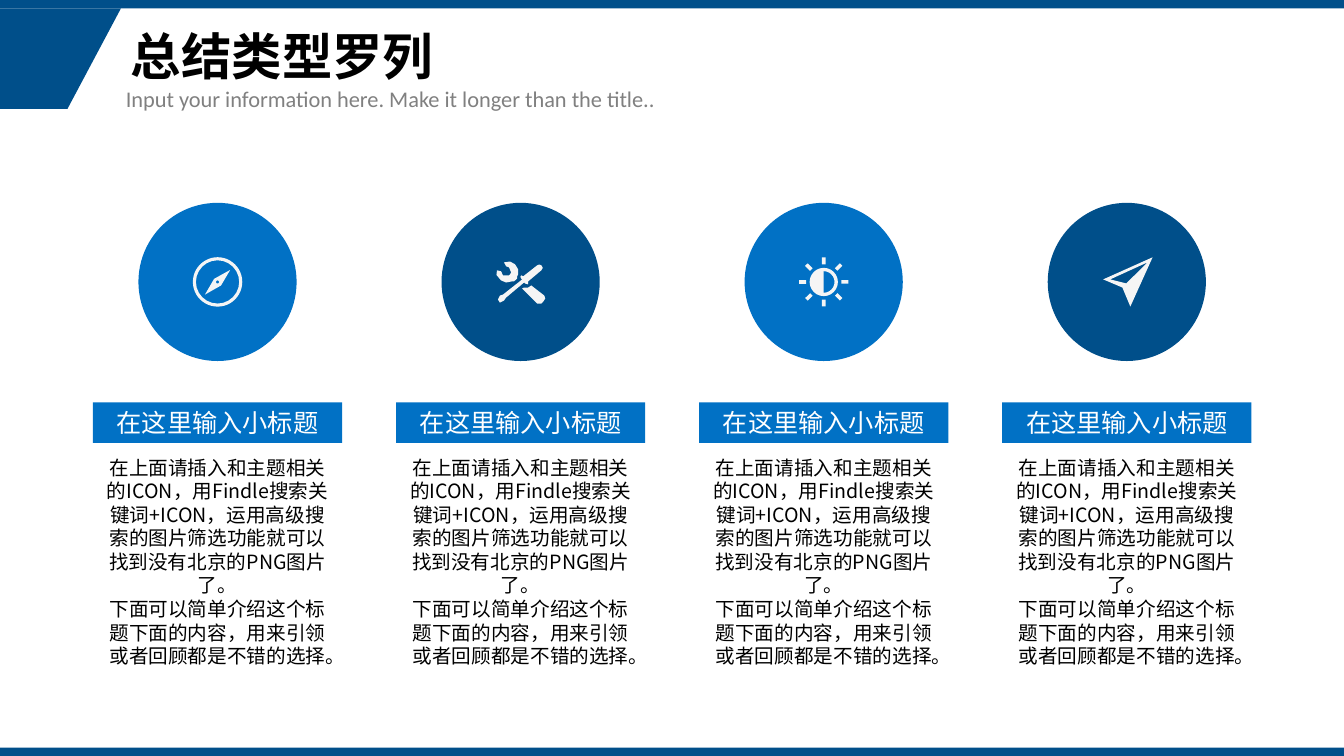
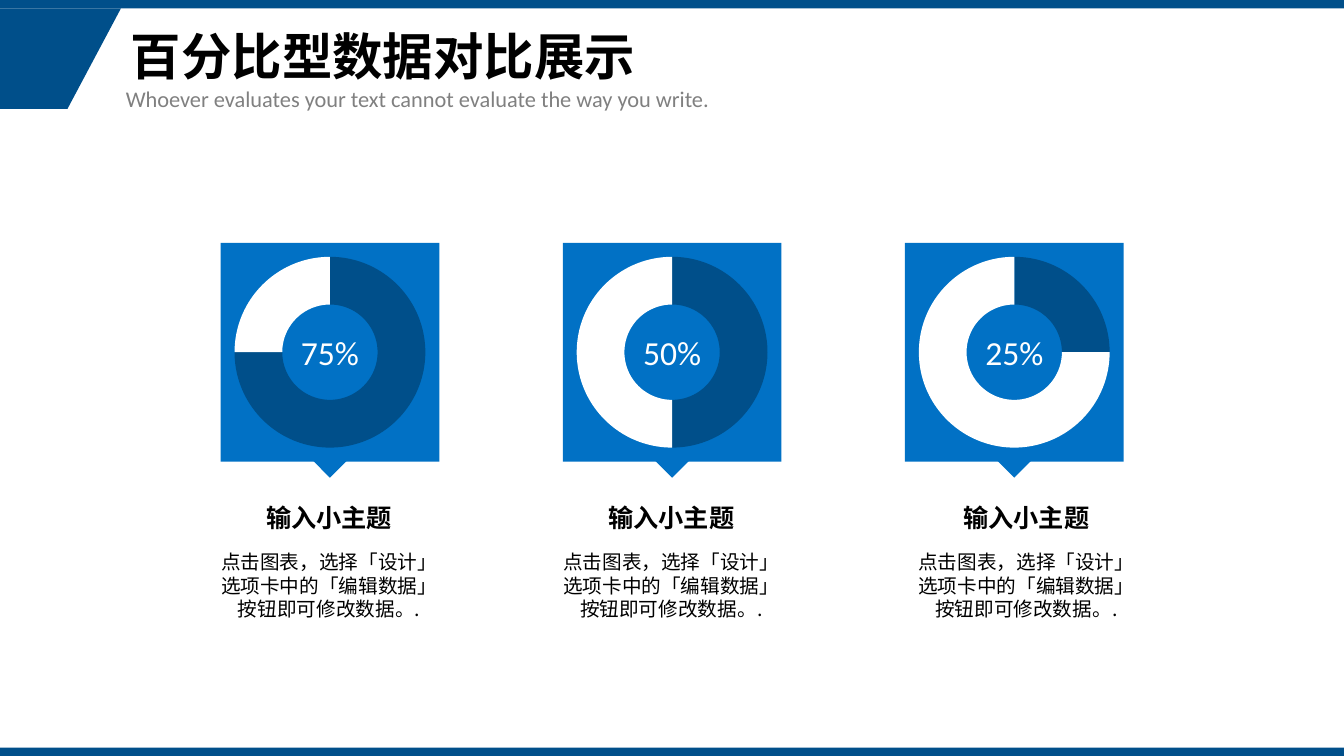
import math
from lxml import etree
from pptx import Presentation
from pptx.chart.data import CategoryChartData
from pptx.dml.color import RGBColor
from pptx.enum.chart import XL_CHART_TYPE
from pptx.enum.shapes import MSO_SHAPE
from pptx.enum.text import MSO_ANCHOR, PP_ALIGN
from pptx.oxml import parse_xml
from pptx.oxml.ns import nsdecls, qn
from pptx.util import Pt

RECTANGLE, OVAL, DONUT = MSO_SHAPE.RECTANGLE, MSO_SHAPE.OVAL, MSO_SHAPE.DONUT
RIGHT_TRIANGLE = MSO_SHAPE.RIGHT_TRIANGLE
LEFT, CENTER = PP_ALIGN.LEFT, PP_ALIGN.CENTER
TOP, MIDDLE = MSO_ANCHOR.TOP, MSO_ANCHOR.MIDDLE
DOUGHNUT = XL_CHART_TYPE.DOUGHNUT

NAVY = RGBColor(0x00, 0x4F, 0x8A)
BLUE = RGBColor(0x01, 0x71, 0xC5)
ICON = RGBColor(0xF5, 0xF5, 0xF5)
GRAY = RGBColor(0x80, 0x80, 0x80)
WHITE = RGBColor(0xFF, 0xFF, 0xFF)
BLACK = RGBColor(0x00, 0x00, 0x00)
HAN, LATIN = "Noto Sans CJK SC", "Calibri"

SLIDE_W, SLIDE_H, BAND_H = 960, 540, 6
CORNER = [(0, 6), (86.4, 6), (48.2, 77.8), (0, 77.8)]
COLUMN_W = 178

SUMMARY_TITLE = "总结类型罗列"
SUMMARY_SUBTITLE = "Input your information here. Make it longer than the title.."
SUMMARY_HEADING = "在这里输入小标题"
SUMMARY_BODY = (
    "在上面请插入和主题相关的ICON，用Findle搜索关键词+ICON，"
    "运用高级搜索的图片筛选功能就可以找到没有北京的PNG图片了。\n"
    "下面可以简单介绍这个标题下面的内容，用来引领或者回顾都是不错的选择。"
)
SUMMARY_FIRST, SUMMARY_PITCH = 155.4, 216.5
CIRCLE_Y, CIRCLE_D = 201.4, 113

PERCENT_TITLE = "百分比型数据对比展示"
PERCENT_SUBTITLE = "Whoever evaluates your text cannot evaluate the way you write."
PERCENT_HEADING = "输入小主题"
PERCENT_BODY = "点击图表，选择「设计」选项卡中的「编辑数据」按钮即可修改数据。."
SHARES_AND_CAPTION_SHIFTS = [(75, -0.6), (50, -0.6), (25, 8.6)]
PERCENT_FIRST, PERCENT_PITCH = 235.7, 244.4
CHART_TOP, CHART_SIZE = 173.5, 156.2

WRENCH_HEAD = [
    (-14, -1.1), (-10.4, 0.4), (-6.1, -0.4), (-4.7, -0.4), (-2.5, -2.5),
    (-2.5, -4), (-1.8, -5.4), (-1.8, -9), (-4, -12.6), (-7.6, -14.6),
    (-11.9, -14), (-10.4, -11.2), (-8.3, -10.4), (-6.8, -6.8), (-7.6, -5.4),
    (-8.3, -4.7), (-12.6, -4.7), (-14, -7.6), (-16.9, -8.3), (-17.3, -5),
]
WRENCH_HANDLE = [
    (16.9, 9.7), (7.6, 2.5), (5.4, 4), (2.5, 4), (1.1, 4.7),
    (11.9, 15.5), (14.8, 15.5), (16.2, 14), (17.6, 11.9),
]
SCREWDRIVER = [
    (3.2, 1.1), (5.4, 1.8), (5.4, -0.4), (14.8, -8.3), (15.8, -10),
    (14.8, -11.9), (13.3, -12.4), (11.9, -11.9), (1.8, -4), (0.4, -4.7),
    (-0.2, -3.6), (0.4, -2.5), (1.1, -1.8), (-12.6, 9), (-14.8, 9.7),
    (-16.2, 12.6), (-14.8, 14.8), (-11.9, 13.3), (-10.4, 11.2), (2.5, 0.4),
]
PLANE = [(-16.9, -1.8), (-3.2, 4), (2.5, 17.6), (18.4, -17.6)]
PLANE_FOLD = [(-0.4, 1.1), (-11.9, -1.8), (14.8, -14)]
NEEDLE = [(-9, 9), (2.5, 2.5), (9, -8.6), (-2.5, -2.2)]


def paint(shape, color):
    shape.shadow.inherit = False
    shape.fill.solid()
    shape.fill.fore_color.rgb = color
    shape.line.fill.background()
    return shape


def add_preset(slide, kind, left, top, width, height, color):
    return paint(slide.shapes.add_shape(kind, Pt(left), Pt(top), Pt(width), Pt(height)), color)


def add_centered(slide, kind, x, y, width, height, color):
    return add_preset(slide, kind, x - width / 2, y - height / 2, width, height, color)


def add_outline(slide, contours, color, x=0, y=0):
    placed = [[(Pt(x + dx), Pt(y + dy)) for dx, dy in contour] for contour in contours]
    builder = slide.shapes.build_freeform(*placed[0][0], scale=1.0)
    builder.add_line_segments(placed[0][1:], close=True)
    for contour in placed[1:]:
        builder.move_to(*contour[0])
        builder.add_line_segments(contour[1:], close=True)
    return paint(builder.convert_to_shape(), color)


def write(shape, text, size, color, font=HAN, bold=False, align=CENTER, anchor=TOP, wrap=True):
    frame = shape.text_frame
    frame.text = text
    frame.word_wrap = wrap
    frame.vertical_anchor = anchor
    for paragraph in frame.paragraphs:
        paragraph.alignment = align
        for run in paragraph.runs:
            run.font.name = font
            run.font.size = Pt(size)
            run.font.bold = bold
            run.font.color.rgb = color
            latin = run._r.get_or_add_rPr().find(qn("a:latin"))
            east_asian = etree.Element(qn("a:ea"), typeface=font)
            latin.addnext(east_asian)
    return frame


def add_text(slide, left, top, width, height, text, size, color, **style):
    box = slide.shapes.add_textbox(Pt(left), Pt(top), Pt(width), Pt(height))
    return write(box, text, size, color, **style)


def add_framed_slide(prs, title, subtitle):
    slide = prs.slides.add_slide(prs.slide_layouts[6])
    add_outline(slide, [CORNER], NAVY)
    for top in (0, SLIDE_H - BAND_H):
        add_preset(slide, RECTANGLE, 0, top, SLIDE_W, BAND_H, NAVY)
    heading = add_text(slide, 86.4, 6, 808, 72, title, 36, BLACK,
                       bold=True, align=LEFT, anchor=MIDDLE)
    heading.paragraphs[0].line_spacing = 0.9
    add_text(slide, 82.8, 57.6, 561.6, 26.6, subtitle, 16, GRAY, font=LATIN, align=LEFT)
    return slide


def arc(radius, start, end, steps):
    angles = [math.radians(start + (end - start) * i / steps) for i in range(steps + 1)]
    return [(radius * math.cos(angle), radius * math.sin(angle)) for angle in angles]


def add_ring(slide, x, y, diameter, thickness):
    ring = add_centered(slide, DONUT, x, y, diameter, diameter, ICON)
    ring.adjustments[0] = thickness / diameter


def draw_compass(slide, x, y):
    add_ring(slide, x, y, 35.3, 2.2)
    add_outline(slide, [NEEDLE, arc(1.1, 0, 360, 12)], ICON, x, y)


def draw_tools(slide, x, y):
    for part in (WRENCH_HEAD, WRENCH_HANDLE, SCREWDRIVER):
        add_outline(slide, [part], ICON, x, y)


def draw_sun(slide, x, y):
    for angle in range(0, 360, 45):
        dx, dy = arc(15.1, angle, angle, 1)[0]
        ray = add_centered(slide, RECTANGLE, x + dx, y + dy, 5, 2.6, ICON)
        ray.rotation = angle
    add_ring(slide, x, y, 20.2, 2.4)
    add_outline(slide, [arc(9, 90, 270, 24)], ICON, x, y)


def draw_plane(slide, x, y):
    add_outline(slide, [PLANE, PLANE_FOLD], ICON, x, y)


SUMMARY_COLUMNS = [
    (draw_compass, BLUE), (draw_tools, NAVY), (draw_sun, BLUE), (draw_plane, NAVY),
]


def build_summary(prs):
    slide = add_framed_slide(prs, SUMMARY_TITLE, SUMMARY_SUBTITLE)
    for i, (draw_icon, color) in enumerate(SUMMARY_COLUMNS):
        x = SUMMARY_FIRST + i * SUMMARY_PITCH
        left = x - COLUMN_W / 2
        add_centered(slide, OVAL, x, CIRCLE_Y, CIRCLE_D, CIRCLE_D, color)
        draw_icon(slide, x, CIRCLE_Y)
        banner = add_preset(slide, RECTANGLE, left, 287.4, COLUMN_W, 29, BLUE)
        write(banner, SUMMARY_HEADING, 18, WHITE, anchor=MIDDLE, wrap=False)
        add_text(slide, left, 322, COLUMN_W, 160, SUMMARY_BODY, 14, BLACK)


def add_share_chart(slide, x, share):
    data = CategoryChartData()
    data.categories = ["1", "2"]
    data.add_series("Series 1", (share, 100 - share))
    chart = slide.shapes.add_chart(
        DOUGHNUT, Pt(x - CHART_SIZE / 2), Pt(CHART_TOP),
        Pt(CHART_SIZE), Pt(CHART_SIZE), data).chart
    chart.has_legend = False
    chart.has_title = False
    chart.font.name = LATIN
    chart.font.size = Pt(10)
    chart.font.color.rgb = BLACK
    plot = chart.plots[0]
    plot.vary_by_categories = True
    for i, color in enumerate((NAVY, WHITE)):
        part = plot.series[0].points[i].format
        part.fill.solid()
        part.fill.fore_color.rgb = color
        part.line.fill.background()
    chart_space = chart.element
    chart_space.find(".//" + qn("c:holeSize")).set("val", "80")
    chart_space.find(qn("c:chart")).addnext(parse_xml(
        f'<c:spPr {nsdecls("c", "a")}><a:solidFill><a:srgbClr val="{BLUE}"/></a:solidFill>'
        '<a:ln><a:noFill/></a:ln></c:spPr>'))


def build_percentages(prs):
    slide = add_framed_slide(prs, PERCENT_TITLE, PERCENT_SUBTITLE)
    for i, (share, caption_shift) in enumerate(SHARES_AND_CAPTION_SHIFTS):
        x = PERCENT_FIRST + i * PERCENT_PITCH
        left = x + caption_shift - COLUMN_W / 2
        add_share_chart(slide, x, share)
        add_text(slide, x - 32.8, 233.3, 65.6, 36, f"{share}%", 24, WHITE,
                 font=LATIN, wrap=False)
        pointer = add_centered(slide, RIGHT_TRIANGLE, x, 329.2, 17, 17, BLUE)
        pointer.rotation = 315
        add_text(slide, left, 355, COLUMN_W, 29, PERCENT_HEADING, 18, BLACK,
                 bold=True, wrap=False)
        add_text(slide, left, 389.5, COLUMN_W, 58.3, PERCENT_BODY, 14, BLACK)


def main():
    prs = Presentation()
    prs.slide_width, prs.slide_height = Pt(SLIDE_W), Pt(SLIDE_H)
    build_summary(prs)
    build_percentages(prs)
    prs.save("out.pptx")


if __name__ == "__main__":
    main()
